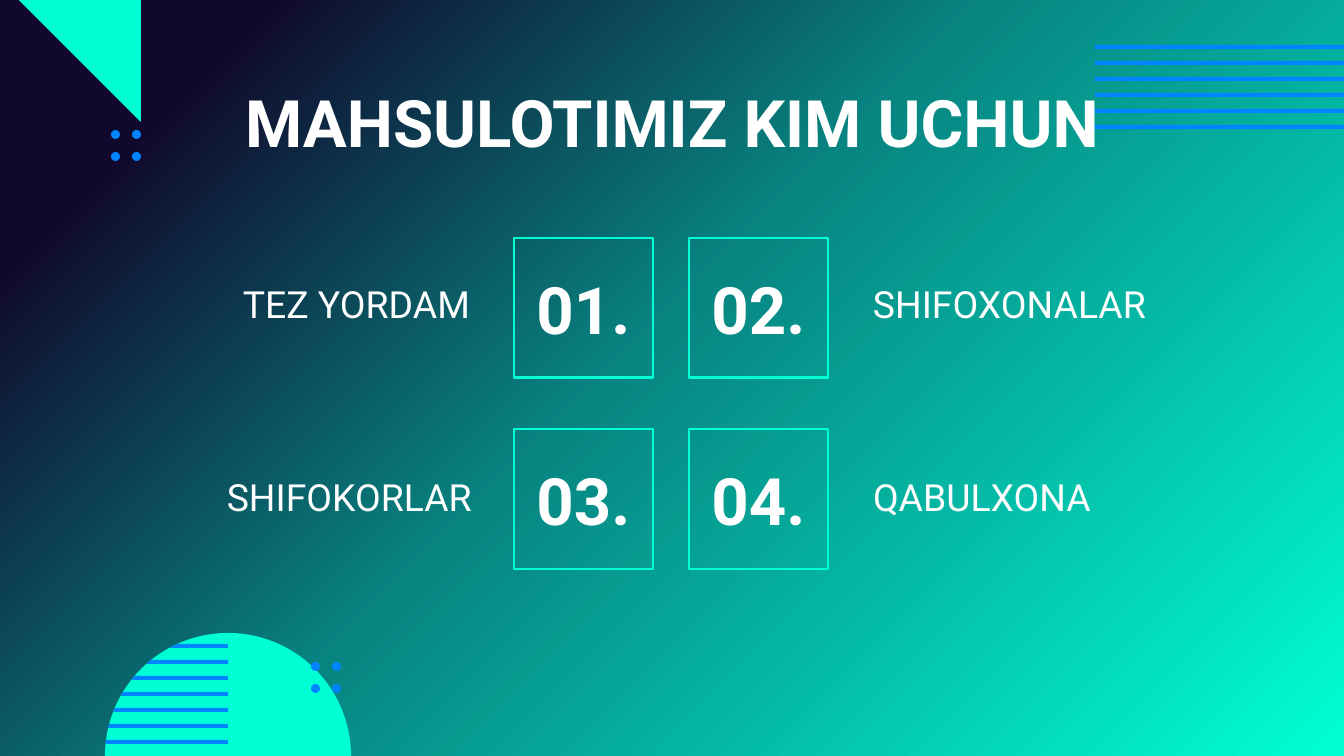
from dataclasses import dataclass
from math import cos, pi, sin, sqrt

from lxml.etree import SubElement
from pptx import Presentation
from pptx.dml.color import RGBColor
from pptx.enum.shapes import MSO_SHAPE
from pptx.enum.text import MSO_ANCHOR, MSO_AUTO_SIZE, PP_ALIGN
from pptx.oxml.ns import qn
from pptx.util import Emu, Pt


@dataclass(frozen=True)
class Theme:
    font: str = "Roboto"
    white: str = "FFFFFF"
    mint: str = "00FFD5"
    blue: str = "0084FF"
    background: tuple = ((0, "10092D"), (13, "10092D"), (47, "088481"), (100, "00FFD5"))
    heading_size: int = 35
    label_size: int = 20
    outline: float = 1.5


theme = Theme()
SLIDE_WIDTH, SLIDE_HEIGHT = 1344, 756
EMU_PER_PX = 9144000 / SLIDE_WIDTH


def px(*lengths):
    """Turn pixel lengths into a list of EMU lengths."""
    return [Emu(round(length * EMU_PER_PX)) for length in lengths]


def write_text(shape, text, size, bold, alignment):
    frame = shape.text_frame
    frame.text = text
    frame.word_wrap = True
    frame.auto_size = MSO_AUTO_SIZE.NONE
    frame.vertical_anchor = MSO_ANCHOR.MIDDLE
    frame.margin_left, frame.margin_right, frame.margin_top, frame.margin_bottom = px(13, 13, 13, 13)
    paragraph = frame.paragraphs[0]
    paragraph.alignment = alignment
    font = paragraph.runs[0].font
    font.name = theme.font
    font.size = Pt(size)
    font.bold = bold
    font.color.rgb = RGBColor.from_string(theme.white)


presentation = Presentation()
presentation.slide_width, presentation.slide_height = px(SLIDE_WIDTH, SLIDE_HEIGHT)
slide = presentation.slides.add_slide(presentation.slide_layouts[5])
shapes = slide.shapes

# Background gradient
background_fill = slide.background.fill
background_fill.gradient()
background_fill.gradient_angle = 315
stop_list = slide.element.find(".//" + qn("a:gsLst"))
for stop in list(stop_list):
    stop_list.remove(stop)
for position, color in theme.background:
    stop = SubElement(stop_list, qn("a:gs"), pos=str(position * 1000))
    SubElement(stop, qn("a:srgbClr"), val=color)

decorations = []

# Stripes in the top right corner
LINE_PITCH, LINE_HEIGHT = 16, 4
for row in range(6):
    stripe = shapes.add_shape(MSO_SHAPE.RECTANGLE, *px(1095, 45 + row * LINE_PITCH, 344, LINE_HEIGHT))
    decorations.append((stripe, theme.blue))

# Half circle with a striped left quarter, and the corner triangle
center_x, radius = 228, 123
outlines = []
for side in (-1, 1):
    arc = [
        (center_x + side * radius * sin(step * pi / 96), SLIDE_HEIGHT - radius * cos(step * pi / 96))
        for step in range(49)
    ]
    outlines.append((theme.mint, [(center_x, SLIDE_HEIGHT), *arc]))
for row in range(7):
    top = 644 + row * LINE_PITCH
    bottom = top + LINE_HEIGHT
    left_edge = [
        (center_x - sqrt(radius**2 - (SLIDE_HEIGHT - y) ** 2), y) for y in (bottom, top)
    ]
    outlines.append((theme.blue, [*left_edge, (center_x, top), (center_x, bottom)]))
outlines.append((theme.mint, [(19, 0), (141, 0), (141, 122)]))

for color, points in outlines:
    start, *others = [px(*point) for point in points]
    builder = shapes.build_freeform(*start)
    builder.add_line_segments(others, close=True)
    decorations.append((builder.convert_to_shape(), color))

# Dot clusters
for cluster_left, cluster_top in ((111, 130), (311, 662)):
    for column in range(2):
        for row in range(2):
            dot = shapes.add_shape(
                MSO_SHAPE.OVAL, *px(cluster_left + column * 21, cluster_top + row * 22, 9, 9)
            )
            decorations.append((dot, theme.blue))

for shape, color in decorations:
    shape.shadow.inherit = False
    shape.fill.solid()
    shape.fill.fore_color.rgb = RGBColor.from_string(color)
    shape.line.fill.background()

# Numbered boxes in a two by two grid
for index in range(4):
    row, column = divmod(index, 2)
    box = shapes.add_shape(MSO_SHAPE.RECTANGLE, *px(514 + column * 175, 238 + row * 191, 139, 140))
    box.shadow.inherit = False
    box.fill.background()
    box.line.color.rgb = RGBColor.from_string(theme.mint)
    box.line.width = Pt(theme.outline)
    write_text(box, f"0{index + 1}.", theme.heading_size, True, PP_ALIGN.CENTER)

# Labels beside the boxes
labels = (
    ("TEZ YORDAM", PP_ALIGN.RIGHT, (66, 261, 417, 85)),
    ("SHIFOXONALAR", PP_ALIGN.LEFT, (860, 266, 423, 75)),
    ("SHIFOKORLAR", PP_ALIGN.RIGHT, (106, 470, 379, 54)),
    ("QABULXONA", PP_ALIGN.LEFT, (860, 470, 379, 54)),
)
for text, alignment, bounds in labels:
    write_text(shapes.add_textbox(*px(*bounds)), text, theme.label_size, False, alignment)

# Title, in front of the stripes
title = shapes.title
title.left, title.top, title.width, title.height = px(106, 79, 1133, 85)
write_text(title, "MAHSULOTIMIZ KIM UCHUN", theme.heading_size, True, PP_ALIGN.CENTER)
title.element.getparent().append(title.element)

presentation.save("out.pptx")
